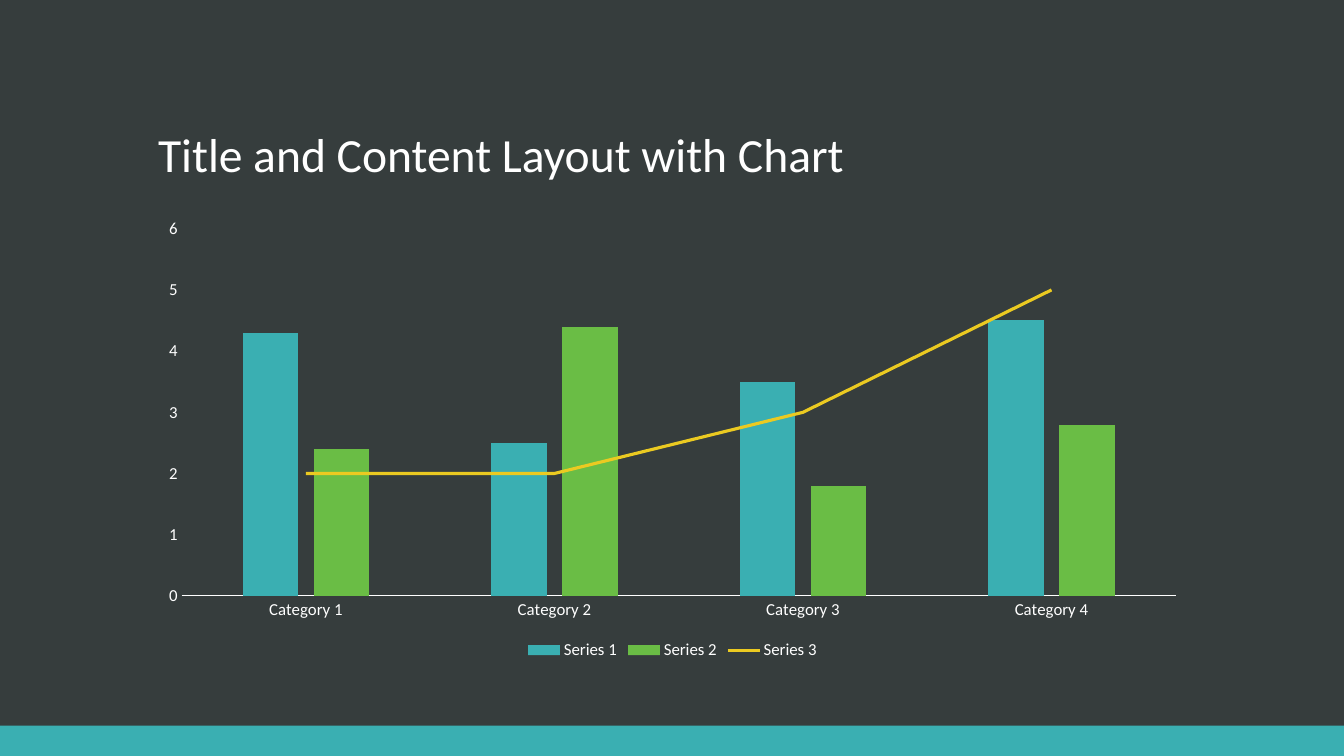
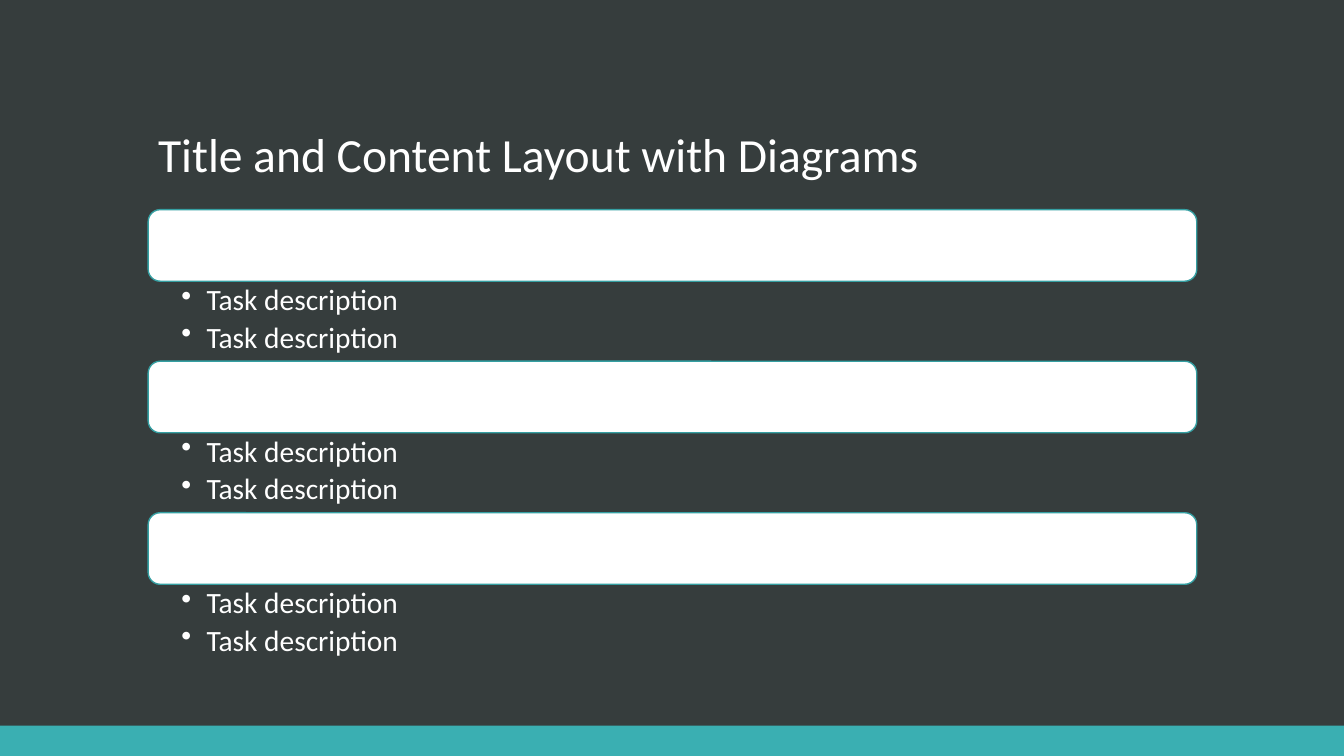
"""Build a chart slide and a task list slide in one dark style."""
from pptx import Presentation
from pptx.chart.data import CategoryChartData
from pptx.dml.color import RGBColor
from pptx.enum import chart as chart_enum, shapes, text
from pptx.oxml import parse_xml
from pptx.oxml.ns import nsdecls, qn
from pptx.util import Inches, Pt

DARK = RGBColor(0x36, 0x3D, 0x3D)
WHITE = RGBColor(0xFF, 0xFF, 0xFF)
TEAL = RGBColor(0x3A, 0xAF, 0xB2)
DEEP_TEAL = RGBColor(0x35, 0x9F, 0xA2)
GREEN = RGBColor(0x6A, 0xBD, 0x45)
YELLOW = RGBColor(0xEB, 0xCA, 0x21)
FONT = "Calibri"

CHART_TITLE = "Title and Content Layout with Chart"
CATEGORIES = ["Category 1", "Category 2", "Category 3", "Category 4"]
SERIES = [
    ("Series 1", (4.3, 2.5, 3.5, 4.5)),
    ("Series 2", (2.4, 4.4, 1.8, 2.8)),
    ("Series 3", (2, 2, 3, 5)),
]
TASKS_TITLE = "Title and Content Layout with Diagrams"
TASK_GROUPS = [["Task description", "Task description"]] * 3

SLIDE_WIDTH, SLIDE_HEIGHT = Inches(13.33), Inches(7.5)
BAND_HEIGHT = Inches(0.3)
LEFT, WIDTH = Inches(1.47), Inches(10.4)
TITLE_TOP, TITLE_HEIGHT = Inches(0.51), Inches(1.35)
BODY_TOP, BODY_HEIGHT = Inches(2.08), Inches(4.51)
BAR_HEIGHT = Inches(0.71)


def style_font(font, size):
    font.name = FONT
    font.size = Pt(size)
    font.color.rgb = WHITE


def add_paragraph_text(paragraph, wording, size):
    paragraph.line_spacing = 0.9
    run = paragraph.add_run()
    run.text = wording
    style_font(run.font, size)


def add_box(slide, kind, left, top, width, height, fill, outline=None):
    shape = slide.shapes.add_shape(kind, left, top, width, height)
    shape.shadow.inherit = False
    shape.fill.solid()
    shape.fill.fore_color.rgb = fill
    if outline is None:
        shape.line.fill.background()
    else:
        shape.line.color.rgb = outline
        shape.line.width = Pt(1)


def add_text_frame(slide, top, height):
    frame = slide.shapes.add_textbox(LEFT, top, WIDTH, height).text_frame
    frame.word_wrap = True
    return frame


def add_slide(presentation, title):
    slide = presentation.slides.add_slide(presentation.slide_layouts[6])
    slide.background.fill.solid()
    slide.background.fill.fore_color.rgb = DARK
    add_box(slide, shapes.MSO_SHAPE.RECTANGLE, 0, SLIDE_HEIGHT - BAND_HEIGHT,
            SLIDE_WIDTH, BAND_HEIGHT, TEAL)
    frame = add_text_frame(slide, TITLE_TOP, TITLE_HEIGHT)
    frame.vertical_anchor = text.MSO_ANCHOR.BOTTOM
    add_paragraph_text(frame.paragraphs[0], title, 34)
    return slide


def turn_last_series_into_line(chart):
    column_plot = chart._chartSpace.find(".//" + qn("c:barChart"))
    series = column_plot.findall(qn("c:ser"))[-1]
    for bar_setting in series.findall(qn("c:invertIfNegative")):
        series.remove(bar_setting)
    line_plot = parse_xml(
        f'<c:lineChart {nsdecls("c")}><c:grouping val="standard"/>'
        '<c:varyColors val="0"/><c:marker val="1"/></c:lineChart>')
    line_plot.insert(2, series)
    for axis in column_plot.findall(qn("c:axId")):
        line_plot.append(parse_xml(
            f'<c:axId {nsdecls("c")} val="{axis.get("val")}"/>'))
    column_plot.addnext(line_plot)


def add_combined_chart(slide):
    data = CategoryChartData()
    data.categories = CATEGORIES
    for name, values in SERIES:
        data.add_series(name, values)
    chart = slide.shapes.add_chart(
        chart_enum.XL_CHART_TYPE.COLUMN_CLUSTERED,
        LEFT, BODY_TOP, WIDTH, BODY_HEIGHT, data).chart
    turn_last_series_into_line(chart)
    style_font(chart.font, 10)
    chart.has_title = False
    chart.has_legend = True
    chart.legend.position = chart_enum.XL_LEGEND_POSITION.BOTTOM
    chart.legend.include_in_layout = False
    style_font(chart.legend.font, 12)

    for axis in (chart.category_axis, chart.value_axis):
        axis.has_major_gridlines = False
        axis.major_tick_mark = chart_enum.XL_TICK_MARK.NONE
        axis.minor_tick_mark = chart_enum.XL_TICK_MARK.NONE
        style_font(axis.tick_labels.font, 12)
    chart.category_axis.format.line.color.rgb = WHITE
    chart.category_axis.format.line.width = Pt(0.75)
    chart.value_axis.format.line.fill.background()
    chart.value_axis.minimum_scale = 0
    chart.value_axis.maximum_scale = 6
    chart.value_axis.major_unit = 1

    columns, lines = chart.plots
    columns.vary_by_categories = False
    columns.gap_width = 219
    columns.overlap = -27
    for series, color in zip(columns.series, (TEAL, GREEN)):
        series.format.fill.solid()
        series.format.fill.fore_color.rgb = color
    line = lines.series[0]
    line.smooth = False
    line.marker.style = chart_enum.XL_MARKER_STYLE.NONE
    line.format.line.color.rgb = YELLOW
    line.format.line.width = Pt(2.25)


def add_bullet(paragraph):
    properties = paragraph._p.get_or_add_pPr()
    properties.set("marL", str(Inches(0.25)))
    properties.set("indent", str(-Inches(0.25)))
    properties.append(parse_xml(f'<a:buChar {nsdecls("a")} char="•"/>'))


def add_task_groups(slide):
    pitch = BODY_HEIGHT // len(TASK_GROUPS)
    for index, tasks in enumerate(TASK_GROUPS):
        top = BODY_TOP + index * pitch
        add_box(slide, shapes.MSO_SHAPE.ROUNDED_RECTANGLE, LEFT, top,
                WIDTH, BAR_HEIGHT, WHITE, DEEP_TEAL)
        frame = add_text_frame(slide, top + BAR_HEIGHT, pitch - BAR_HEIGHT)
        frame.margin_left, frame.margin_right = Inches(0.33), Inches(0.21)
        frame.margin_top = frame.margin_bottom = Inches(0.04)
        for position, task in enumerate(tasks):
            paragraph = frame.add_paragraph() if position else frame.paragraphs[0]
            add_paragraph_text(paragraph, task, 21)
            paragraph.space_after = Pt(4)
            add_bullet(paragraph)


def main():
    presentation = Presentation()
    presentation.slide_width = SLIDE_WIDTH
    presentation.slide_height = SLIDE_HEIGHT
    add_combined_chart(add_slide(presentation, CHART_TITLE))
    add_task_groups(add_slide(presentation, TASKS_TITLE))
    presentation.save("out.pptx")


if __name__ == "__main__":
    main()
